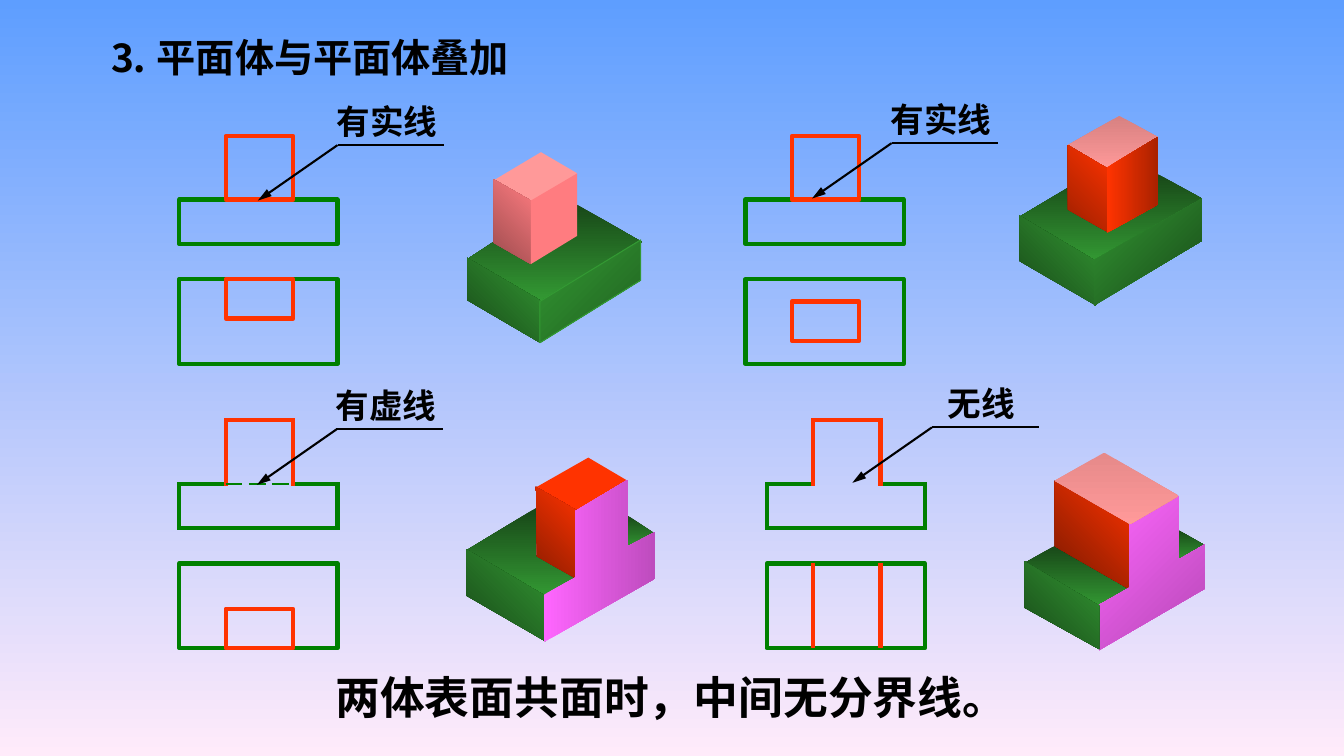
from dataclasses import dataclass
from itertools import pairwise

from lxml.etree import SubElement
from pptx import Presentation
from pptx.dml.color import RGBColor
from pptx.enum.dml import MSO_LINE
from pptx.enum.shapes import MSO_CONNECTOR, MSO_SHAPE
from pptx.enum.text import MSO_ANCHOR, MSO_AUTO_SIZE, PP_ALIGN
from pptx.oxml.ns import qn
from pptx.util import Inches, Pt


@dataclass(frozen=True)
class Theme:
    """Fills are (colour,) when plain, or (first, last, clockwise angle)."""
    backdrop: tuple = ("5E9EFF", "FFEBFA", 90)
    ink: str = "000000"
    base_edge: str = "008000"
    tower_edge: str = "FF3300"
    rim: str = "339933"
    green_top: tuple = ("184718", "339933", 90)
    green_left: tuple = ("184718", "339933", 315)
    green_right: tuple = ("339933", "206020", 45)
    green_right_deep: tuple = ("339933", "184718", 45)
    pink_top: tuple = ("FF9999",)
    pink_left: tuple = ("9B4B4E", "FF7C80", 315)
    pink_right: tuple = ("FF7C80",)
    rose_top: tuple = ("D78181", "FF9999", 90)
    rose_top_light: tuple = ("E68A8A", "FF9999", 90)
    red_top: tuple = ("FF3300",)
    red_left: tuple = ("9B1F00", "FF3300", 315)
    red_left_deep: tuple = ("761800", "FF3300", 315)
    red_left_mid: tuple = ("8C1C00", "FF3300", 315)
    red_right: tuple = ("FF3300", "AA2200", 0)
    violet_front: tuple = ("FF66FF", "BE4CBE", 0)
    violet_front_deep: tuple = ("FF66FF", "B448B4", 45)
    heading_font: str = "Noto Sans CJK SC"
    body_font: str = "Times New Roman"
    title_size: int = 28
    label_size: int = 24
    conclusion_size: int = 32
    edge_width: float = 3
    thin_width: float = 1.5
    rim_width: float = 0.75


BASE_WIDTH, BASE_DEPTH, BASE_HEIGHT = 1.57, 0.84, 0.44
TOWER_INSET, TOWER_WIDTH, TOWER_DEPTH, TOWER_HEIGHT = 0.46, 0.67, 0.39, 0.63
FRONT_RISE = 0.79  # from the top of the plan up to the top of the base

SOLIDS = [
    # tower flush with the back face
    ("pink_top", [(4.9, 1.79), (5.28, 2.01), (5.73, 1.72), (5.37, 1.51)]),
    ("green_top", [(4.9, 2.4), (4.64, 2.57), (5.36, 2.99), (6.37, 2.4),
                   (5.69, 2.01), (5.73, 2.34), (5.26, 2.6)]),
    ("pink_left", [(4.9, 1.78), (4.9, 2.41), (5.27, 2.62), (5.27, 1.99)]),
    ("pink_right", [(5.27, 1.99), (5.27, 2.62), (5.73, 2.34), (5.73, 1.72)]),
    ("green_left", [(4.64, 2.56), (4.64, 2.98), (5.36, 3.4), (5.36, 2.98)]),
    ("green_right", [(5.36, 2.99), (5.36, 3.4), (6.36, 2.78), (6.36, 2.38)]),
    # tower flush with the front face
    ("green_top", [(4.63, 5.46), (5.32, 5.04), (5.32, 5.51), (5.75, 5.73), (5.4, 5.92)]),
    ("green_top", [(6.49, 5.29), (6.22, 5.44), (6.22, 5.11)]),
    ("red_top", [(5.33, 4.83), (5.73, 5.07), (6.23, 4.77), (5.84, 4.54)]),
    ("red_left_mid", [(5.32, 4.83), (5.72, 5.06), (5.72, 5.74), (5.33, 5.52)]),
    ("green_left", [(4.63, 5.45), (5.41, 5.91), (5.41, 6.36), (4.63, 5.91)]),
    ("violet_front", [(5.4, 5.9), (5.4, 6.37), (6.5, 5.74), (6.5, 5.28), (6.23, 5.42),
                      (6.23, 4.76), (5.71, 5.07), (5.71, 5.73)]),
    # tower in the middle
    ("green_top", [(10.64, 1.84), (10.12, 2.15), (10.88, 2.6), (11.93, 1.97), (11.46, 1.71),
                   (11.46, 2), (10.99, 2.29), (10.62, 2.08)]),
    ("rose_top", [(10.6, 1.44), (10.99, 1.68), (11.49, 1.36), (11.11, 1.15)]),
    ("red_left", [(10.6, 1.44), (10.6, 2.08), (10.99, 2.3), (10.99, 1.67)]),
    ("red_right", [(10.99, 1.66), (10.99, 2.31), (11.49, 2.03), (11.49, 1.36)]),
    ("green_left", [(10.12, 2.14), (10.12, 2.59), (10.88, 3.03), (10.88, 2.59)]),
    ("green_right_deep", [(10.86, 3.03), (11.93, 2.39), (11.93, 1.97), (10.86, 2.58)]),
    # tower flush with both faces
    ("green_top", [(11.68, 5.25), (11.96, 5.41), (11.69, 5.57)]),
    ("green_top", [(10.18, 5.58), (10.48, 5.41), (11.22, 5.84), (10.93, 6.03)]),
    ("red_left_deep", [(10.47, 4.77), (10.47, 5.42), (11.22, 5.85), (11.22, 5.2)]),
    ("violet_front_deep", [(10.91, 6), (10.91, 6.45), (11.96, 5.84), (11.96, 5.4), (11.7, 5.55),
                           (11.7, 4.92), (11.21, 5.2), (11.21, 5.83)]),
    ("rose_top_light", [(10.47, 4.77), (10.96, 4.49), (11.7, 4.92), (11.22, 5.2)]),
    ("green_left", [(10.17, 5.57), (10.17, 6.03), (10.91, 6.44), (10.91, 6.01)]),
]


class Board:
    def __init__(self, slide, theme):
        self.slide, self.shapes, self.theme = slide, slide.shapes, theme
        self.paint(slide.background.fill, theme.backdrop)

    def paint(self, fill, colours):
        if len(colours) == 1:
            fill.solid()
            fill.fore_color.rgb = RGBColor.from_string(colours[0])
            return
        first, last, clockwise = colours
        fill.gradient()
        fill.gradient_angle = (360 - clockwise) % 360
        for stop, colour in zip(fill.gradient_stops, (first, last)):
            stop.color.rgb = RGBColor.from_string(colour)

    def stroke(self, line, colour, width):
        line.color.rgb = RGBColor.from_string(colour)
        line.width = Pt(width)

    def set_text(self, box, text, size, font, align=PP_ALIGN.LEFT, wrap=True):
        frame = box.text_frame
        frame.text = text
        paragraph = frame.paragraphs[0]
        run = paragraph.runs[0]
        formats = (
            (frame, {"word_wrap": wrap, "auto_size": MSO_AUTO_SIZE.NONE,
                     "vertical_anchor": MSO_ANCHOR.MIDDLE}),
            (paragraph, {"alignment": align}),
            (run.font, {"size": Pt(size), "name": font, "bold": True}),
        )
        for target, values in formats:
            for name, value in values.items():
                setattr(target, name, value)
        run.font.color.rgb = RGBColor.from_string(self.theme.ink)
        SubElement(run.font._element, qn("a:ea"), typeface=self.theme.heading_font)

    def title(self, text, *bounds):
        box = self.shapes.title
        box.left, box.top, box.width, box.height = map(Inches, bounds)
        self.set_text(box, text, self.theme.title_size, self.theme.heading_font)

    def text(self, text, size, *bounds, **layout):
        box = self.shapes.add_textbox(*map(Inches, bounds))
        self.set_text(box, text, size, self.theme.body_font, **layout)

    def rectangle(self, colour, *bounds):
        box = self.shapes.add_shape(MSO_SHAPE.RECTANGLE, *map(Inches, bounds))
        box.shadow.inherit = False
        box.fill.background()
        self.stroke(box.line, colour, self.theme.edge_width)

    def face(self, fill_name, corners):
        start, *others = [tuple(map(Inches, corner)) for corner in corners]
        builder = self.shapes.build_freeform(*start)
        builder.add_line_segments(others)
        face = builder.convert_to_shape()
        face.shadow.inherit = False
        self.paint(face.fill, getattr(self.theme, fill_name))
        if fill_name == "green_right":
            self.stroke(face.line, self.theme.rim, self.theme.rim_width)
        else:
            face.line.fill.background()

    def lines(self, points, colour, width, cap="flat", dash=None, arrow=False):
        """Join neighbouring points with straight connectors."""
        for start, end in pairwise(points):
            edge = self.shapes.add_connector(MSO_CONNECTOR.STRAIGHT, *map(Inches, start + end))
            self.stroke(edge.line, colour, width)
            if dash:
                edge.line.dash_style = dash
            properties = edge._element.spPr
            outline = properties.find(qn("a:ln"))
            outline.set("cap", cap)
            if arrow:
                SubElement(outline, qn("a:tailEnd"), type="triangle", w="med", len="lg")
            SubElement(properties, qn("a:effectLst"))

    def callout(self, text, x, y):
        ink, width = self.theme.ink, self.theme.thin_width
        self.lines([(x, y), (x - 0.79, y + 0.55)], ink, width, arrow=True)
        self.lines([(x, y), (x + 1.06, y)], ink, width)
        self.text(text, self.theme.label_size, x - 0.11, y - 0.49, 1.2, 0.5,
                  align=PP_ALIGN.CENTER, wrap=False)

    def plan(self, x, y, tower_offset=None):
        """Top view; without an offset the tower runs the full depth."""
        self.rectangle(self.theme.base_edge, x, y, BASE_WIDTH, BASE_DEPTH)
        left = x + TOWER_INSET
        if tower_offset is not None:
            self.rectangle(self.theme.tower_edge, left, y + tower_offset, TOWER_WIDTH, TOWER_DEPTH)
            return
        for side in (left, left + TOWER_WIDTH):
            self.lines([(side, y), (side, y + BASE_DEPTH)],
                       self.theme.tower_edge, self.theme.edge_width)

    def split_front(self, x, y):
        """Front view with a solid line between tower and base."""
        self.rectangle(self.theme.base_edge, x, y, BASE_WIDTH, BASE_HEIGHT)
        self.rectangle(self.theme.tower_edge, x + TOWER_INSET, y - TOWER_HEIGHT,
                       TOWER_WIDTH, TOWER_HEIGHT)

    def flush_front(self, x, y, hidden_line):
        """Front view with tower and base in one plane."""
        left, right = x + TOWER_INSET, x + TOWER_INSET + TOWER_WIDTH
        end, bottom, top = x + BASE_WIDTH, y + BASE_HEIGHT, y - TOWER_HEIGHT
        base = [(left, y), (x, y), (x, bottom), (end, bottom), (end, y), (right, y)]
        tower = [(left, y), (left, top), (right, top), (right, y)]
        self.lines(base, self.theme.base_edge, self.theme.edge_width, cap="sq")
        self.lines(tower, self.theme.tower_edge, self.theme.edge_width, cap="sq")
        if hidden_line:
            self.lines([(left, y), (right, y)], self.theme.base_edge,
                       self.theme.thin_width, dash=MSO_LINE.LONG_DASH)


def main():
    deck = Presentation()
    deck.slide_width, deck.slide_height = Inches(13.34), Inches(7.5)
    theme = Theme()
    board = Board(deck.slides.add_slide(deck.slide_layouts[5]), theme)
    board.title("⒊ 平面体与平面体叠加", 0.98, 0.28, 4.61, 0.57)

    for fill_name, corners in SOLIDS:
        board.face(fill_name, corners)

    upper, lower = 2.77, 5.59
    for x, tower_offset in ((1.78, 0), (7.4, 0.22)):
        board.plan(x, upper, tower_offset)
        board.split_front(x, upper - FRONT_RISE)
    for x, tower_offset in ((1.78, BASE_DEPTH - TOWER_DEPTH), (7.61, None)):
        board.plan(x, lower, tower_offset)
        board.flush_front(x, lower - FRONT_RISE, hidden_line=tower_offset is not None)

    for text, x, y in (("有实线", 3.35, 1.44), ("有实线", 8.85, 1.42),
                       ("有虚线", 3.34, 4.26), ("无线", 9.25, 4.24)):
        board.callout(text, x, y)
    board.text("两体表面共面时，中间无分界线。", theme.conclusion_size, 3.23, 6.59, 6.87, 0.64)
    deck.save("out.pptx")


if __name__ == "__main__":
    main()
